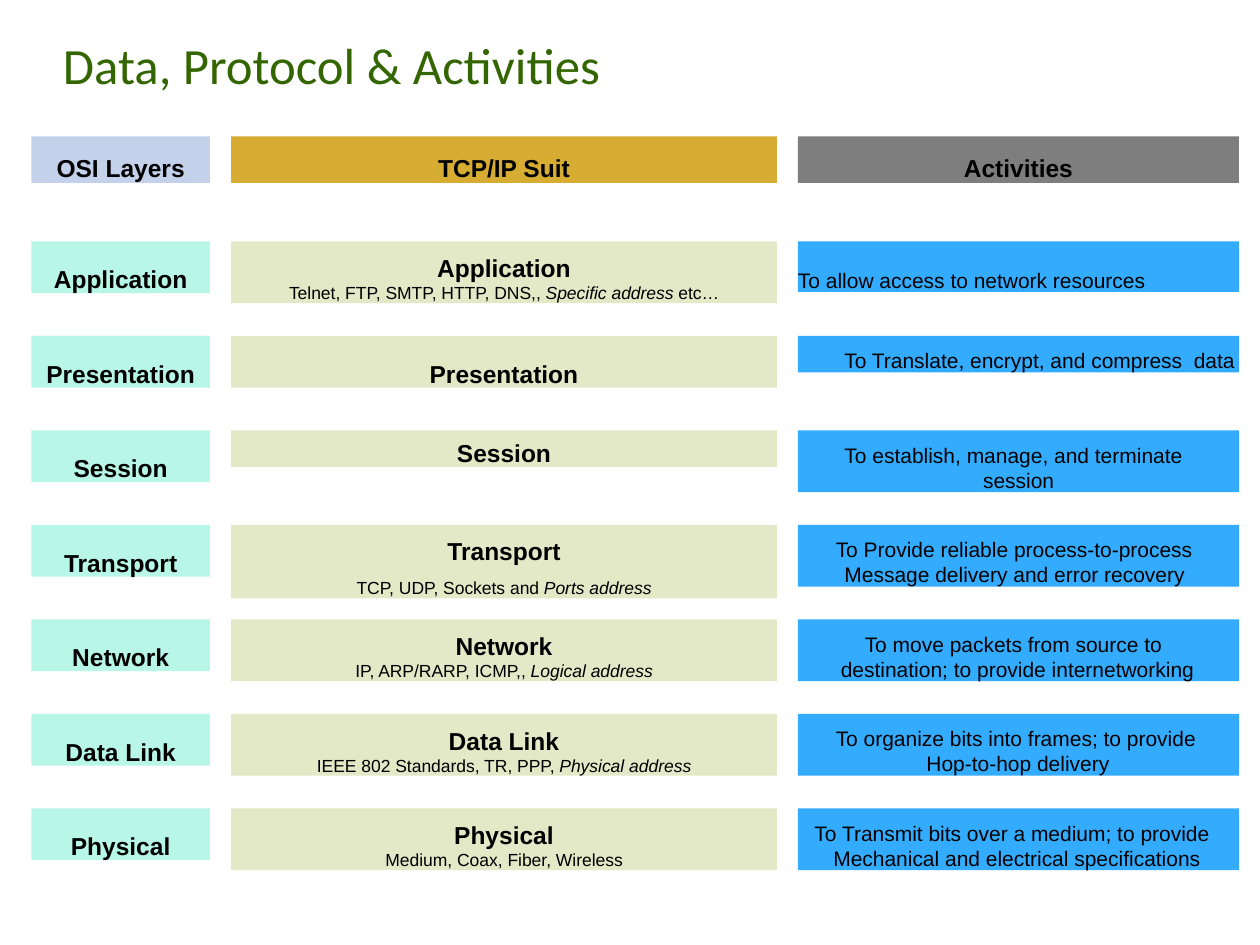
from lxml import etree
from pptx import Presentation
from pptx.dml.color import RGBColor
from pptx.enum.shapes import MSO_SHAPE
from pptx.enum.text import MSO_ANCHOR, PP_ALIGN
from pptx.oxml.ns import qn
from pptx.util import Pt

RECT = MSO_SHAPE.RECTANGLE
TOP, MIDDLE = MSO_ANCHOR.TOP, MSO_ANCHOR.MIDDLE
LEFT, CENTER = PP_ALIGN.LEFT, PP_ALIGN.CENTER

# Columns: left, width
LAYER, SUITE, ACTIVITY = (18, 102), (132, 312), (456, 252)
HEADER_TOP, HEADER_HEIGHT = 78, 26.6
FIRST_ROW, ROW_STEP = 138, 54


def color(hex_text):
    return RGBColor.from_string(hex_text)


class Board:
    heading_size, activity_size, detail_size = 14, 12, 10
    font, title_font = "Arial", "Calibri"
    ink, title_ink = "000000", "336600"
    opacity = 80

    def __init__(self, slide):
        self.slide = slide

    def frame(self, shape, inset, anchor=TOP):
        frame = shape.text_frame
        frame.word_wrap = True
        frame.vertical_anchor = anchor
        frame.margin_left = frame.margin_right = frame.margin_bottom = 0
        frame.margin_top = Pt(inset)
        return frame

    def style(self, run, size, bold=False, italic=False):
        run.font.name = self.font
        run.font.size = Pt(size)
        run.font.bold = bold
        run.font.italic = italic
        run.font.color.rgb = color(self.ink)

    def title(self, text):
        box = self.slide.shapes.add_textbox(Pt(36), Pt(1), Pt(332), Pt(70))
        paragraph = self.frame(box, 1, MIDDLE).paragraphs[0]
        paragraph.text = text
        font = paragraph.runs[0].font
        font.name, font.size = self.title_font, Pt(29)
        font.color.rgb = color(self.title_ink)

    def block(self, column, top, height, fill, inset):
        left, width = column
        shape = self.slide.shapes.add_shape(
            RECT, Pt(left), Pt(top), Pt(width), Pt(height))
        shape.shadow.inherit = False
        shape.line.fill.background()
        shape.fill.solid()
        shape.fill.fore_color.rgb = color(fill)
        solid = shape.fill._xPr.find(qn("a:solidFill"))
        etree.SubElement(solid[0], qn("a:alpha")).set("val", str(self.opacity * 1000))
        return self.frame(shape, inset)

    def heading(self, column, top, height, fill, inset, text):
        frame = self.block(column, top, height, fill, inset)
        paragraph = frame.paragraphs[0]
        paragraph.text = text
        paragraph.alignment = CENTER
        self.style(paragraph.runs[0], self.heading_size, bold=True)
        return frame

    def details(self, frame, parts, space):
        paragraph = frame.add_paragraph()
        paragraph.alignment = CENTER
        paragraph.space_before = Pt(space)
        for index, part in enumerate(parts):
            run = paragraph.add_run()
            run.text = part
            # The address kind is always the second part
            self.style(run, self.detail_size, italic=index == 1)

    def activity(self, top, height, inset, text, margin, indent):
        frame = self.block(ACTIVITY, top, height, "0098FF", inset)
        paragraph = frame.paragraphs[0]
        paragraph.text = text
        paragraph.alignment = LEFT
        properties = paragraph._p.get_or_add_pPr()
        properties.set("marL", str(Pt(margin)))
        properties.set("indent", str(Pt(indent)))
        self.style(paragraph.runs[0], self.activity_size)


# Layer name; suite height, inset, detail parts, space above the details;
# activity height, inset, text, left margin, first-line indent
ROWS = [
    ("Application",
     (35.3, 6.6, ["Telnet, FTP, SMTP, HTTP, DNS,, ", "Specific address ", "etc…"], 0),
     (28.8, 14.8, "To allow access to network resources", 0, 0)),
    ("Presentation",
     (29.5, 13, [], 0),
     (20.9, 6.6, "To Translate, encrypt, and compress  data", 114.5, -88)),
    ("Session",
     (20.9, 4.4, [], 0),
     (35.3, 6.6, "To establish, manage, and terminate session", 105.8, -79.2)),
    ("Transport",
     (42, 6.6, ["TCP, UDP, Sockets and ", "Ports address"], 6.6),
     (35.3, 6.6, "To Provide reliable process-to-process "
      "Message delivery and error recovery", 26.6, -5)),
    ("Network",
     (35.3, 6.6, ["IP, ARP/RARP, ICMP,, ", "Logical address"], 0),
     (35.3, 6.6, "To move packets from source to "
      "destination; to provide internetworking", 24.5, 13.7)),
    ("Data Link",
     (35.3, 6.6, ["IEEE 802 Standards, TR, PPP, ", "Physical address"], 0),
     (35.3, 6.6, "To organize bits into frames; to provide "
      "Hop-to-hop delivery", 73.4, -51.8)),
    ("Physical",
     (35.3, 6.6, ["Medium, Coax, Fiber, Wireless"], 0),
     (35.3, 6.6, "To Transmit bits over a medium; to provide "
      "Mechanical and electrical specifications", 20.2, -10.8)),
]


def main():
    deck = Presentation()
    deck.slide_width, deck.slide_height = Pt(720), Pt(540)
    board = Board(deck.slides.add_slide(deck.slide_layouts[6]))
    board.title("Data, Protocol & Activities")

    # Column headers
    for column, fill, text in [(LAYER, "B6C6E6", "OSI Layers"),
                               (SUITE, "CC9800", "TCP/IP Suit"),
                               (ACTIVITY, "5E5E5E", "Activities")]:
        board.heading(column, HEADER_TOP, HEADER_HEIGHT, fill, 9.6, text)

    # One row per layer
    for index, (name, suite, activity) in enumerate(ROWS):
        top = FIRST_ROW + index * ROW_STEP
        board.heading(LAYER, top, 29.5, "A7F5E2", 13, name)
        height, inset, parts, space = suite
        frame = board.heading(SUITE, top, height, "DDE3B9", inset, name)
        if parts:
            board.details(frame, parts, space)
        board.activity(top, *activity)

    deck.save("out.pptx")


if __name__ == "__main__":
    main()
